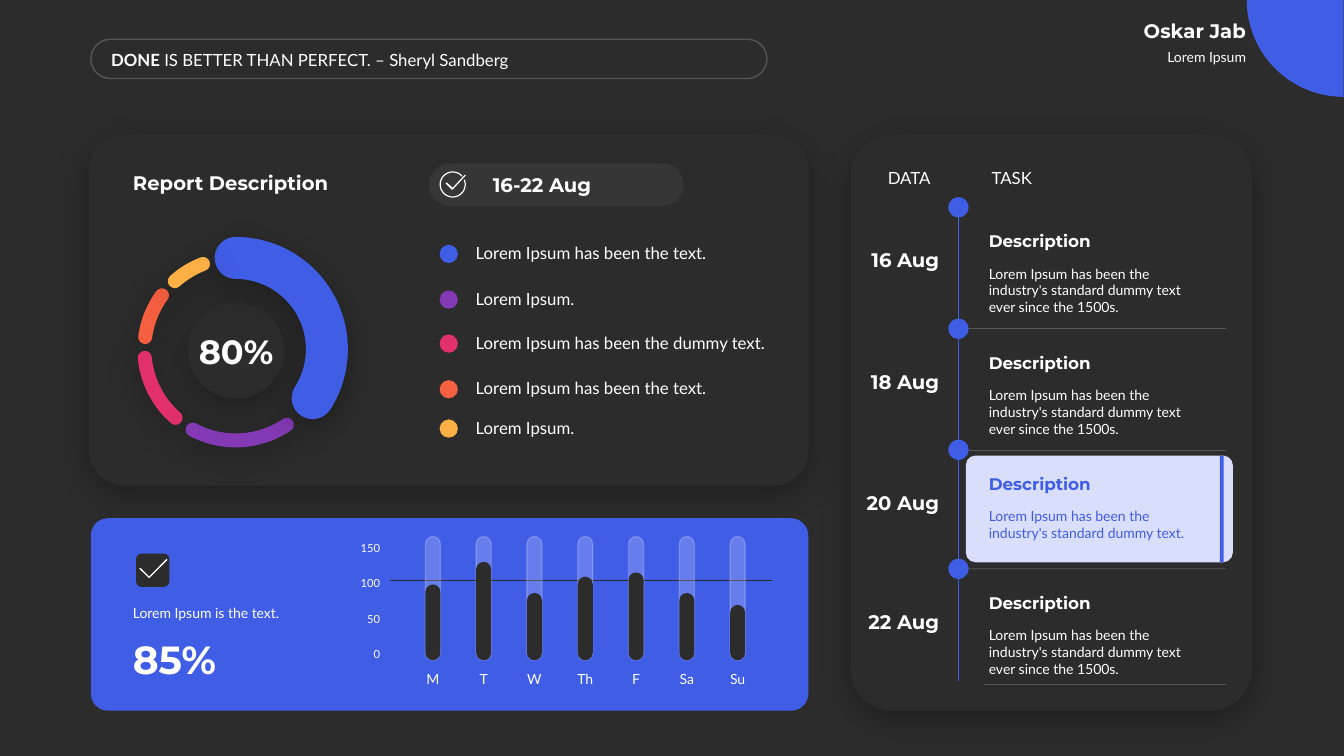
import math
from dataclasses import dataclass

import pptx
import pptx.dml.color
import pptx.enum.shapes
import pptx.enum.text
import pptx.oxml
import pptx.oxml.ns
import pptx.util

Cm = pptx.util.Cm
Pt = pptx.util.Pt
qn = pptx.oxml.ns.qn
SHAPE = pptx.enum.shapes.MSO_SHAPE
ALIGN = pptx.enum.text.PP_ALIGN
ANCHOR = pptx.enum.text.MSO_ANCHOR


class Theme:
    dark, white, blue, pale = "2C2C2C", "FFFFFF", "405DE6", "D9DFFA"
    purple, pink, orange, yellow = "833AB4", "E1306C", "F56040", "FCAF45"
    styles = {
        "heading": {"name": "Montserrat", "size": Pt(14), "bold": True},
        "subheading": {"name": "Montserrat", "size": Pt(12), "bold": True},
        "figure": {"name": "Montserrat", "size": Pt(24), "bold": True},
        "big figure": {"name": "Montserrat", "size": Pt(28), "bold": True},
        "body": {"name": "Lato", "size": Pt(12), "bold": False},
        "strong": {"name": "Lato", "size": Pt(12), "bold": True},
        "small": {"name": "Lato", "size": Pt(10), "bold": False},
        "tiny": {"name": "Lato", "size": Pt(8), "bold": False},
    }


@dataclass
class Box:
    left: float
    top: float
    width: float
    height: float

    def area(self, left, top, width, height):
        return Box(self.left + left, self.top + top, width, height)

    def lengths(self):
        return [Cm(value) for value in (self.left, self.top, self.width, self.height)]


def rgb(color):
    return pptx.dml.color.RGBColor.from_string(color)


def apply(target, formats):
    for name, value in formats.items():
        setattr(target, name, value)


def add_child(parent, tag, **attributes):
    child = parent.makeelement(qn(tag), attributes)
    parent.append(child)
    return child


def paint(shape, fill=None, line=None, weight=1, opacity=100, shadow=False):
    if fill:
        shape.fill.solid()
        shape.fill.fore_color.rgb = rgb(fill)
    else:
        shape.fill.background()
    if line:
        shape.line.color.rgb = rgb(line)
        shape.line.width = Pt(weight)
    else:
        shape.line.fill.background()
    fade(shape, opacity)
    shape.shadow.inherit = False
    if shadow:
        effects = shape.element.spPr.find(qn("a:effectLst"))
        outer = add_child(effects, "a:outerShdw", blurRad=str(Pt(23)), dist=str(Pt(6)),
                          dir="5400000", algn="t", rotWithShape="0")
        add_child(add_child(outer, "a:srgbClr", val="000000"), "a:alpha", val="30000")


def fade(shape, opacity):
    if opacity < 100:
        for color in shape.element.spPr.iter(qn("a:srgbClr")):
            add_child(color, "a:alpha", val=str(opacity * 1000))


def add_shape(page, kind, box, adjust=(), **look):
    shape = page.shapes.add_shape(kind, *box.lengths())
    for index, value in enumerate(adjust):
        shape.adjustments[index] = value
    paint(shape, **look)
    return shape


def add_arc(page, box, start, end, **look):
    return add_shape(page, SHAPE.ARC, box, (start * 0.6, end * 0.6), **look)


def add_line(page, box, color, opacity=100):
    left, top, width, height = box.lengths()
    line = page.shapes.add_connector(pptx.enum.shapes.MSO_CONNECTOR.STRAIGHT,
                                     left, top, left + width, top + height)
    line.line.color.rgb = rgb(color)
    line.line.width = Pt(0.5)
    fade(line, opacity)
    add_child(line.element.spPr, "a:effectLst")


def write(shape, spans, color=Theme.white, align=ALIGN.LEFT, anchor=ANCHOR.TOP, inset=0.25):
    frame = shape.text_frame
    apply(frame, {"word_wrap": True, "vertical_anchor": anchor,
                  "auto_size": pptx.enum.text.MSO_AUTO_SIZE.SHAPE_TO_FIT_TEXT,
                  "margin_left": Cm(inset), "margin_right": Cm(inset),
                  "margin_top": Cm(0.13), "margin_bottom": Cm(0.13)})
    para = frame.paragraphs[0]
    para.alignment = align
    for words, style in spans:
        span = para.add_run()
        span.text = words
        apply(span.font, Theme.styles[style])
        span.font.color.rgb = rgb(color)


def add_text(page, box, words, style, **layout):
    write(page.shapes.add_textbox(*box.lengths()), [(words, style)], **layout)


def add_outline(page, box, contours):
    contours = [[(Cm(box.left + x), Cm(box.top + y)) for x, y in points] for points in contours]
    builder = page.shapes.build_freeform(*contours[0][0])
    for index, points in enumerate(contours):
        if index:
            builder.move_to(*points[0])
        builder.add_line_segments(points[1:], close=True)
    paint(builder.convert_to_shape(), fill=Theme.white)


def add_profile(page, box):
    add_arc(page, box.area(5.66, -2.44, 4.88, 4.88), 90, 180, fill=Theme.blue)
    add_text(page, box.area(0, 1.09, 5.89, 0.69), "Lorem Ipsum", "small", align=ALIGN.RIGHT)
    add_text(page, box.area(0, 0.33, 5.89, 0.86), "Oskar Jab", "heading",
             align=ALIGN.RIGHT, anchor=ANCHOR.BOTTOM)


def add_quote(page, box):
    add_shape(page, SHAPE.ROUNDED_RECTANGLE, box, [0.5], line=Theme.white, opacity=20)
    quote = page.shapes.add_textbox(*box.area(0.41, 0.13, 14.33, 0.76).lengths())
    write(quote, [("DONE", "strong"), (" IS BETTER THAN PERFECT. – Sheryl Sandberg", "body")],
          anchor=ANCHOR.MIDDLE, inset=0.1)


def add_report(page, box):
    add_shape(page, SHAPE.ROUNDED_RECTANGLE, box, [0.103], fill=Theme.dark, shadow=True)
    title = page.shapes.title
    title.element.getparent().append(title.element)
    apply(title, dict(zip(("left", "top", "width", "height"),
                          box.area(0.86, 0.79, 8.94, 0.86).lengths())))
    write(title, [("Report Description", "heading")], anchor=ANCHOR.BOTTOM)

    add_shape(page, SHAPE.ROUNDED_RECTANGLE, box.area(8.56, 0.74, 6.43, 1.07), [0.5],
              fill=Theme.white, opacity=5)
    angles = [math.radians(degree) for degree in range(-22, 319, 4)]
    ring = [(0.33 + radius * math.cos(angle), 0.33 + radius * math.sin(angle))
            for radius, sweep in ((0.33, angles), (0.3, angles[::-1])) for angle in sweep]
    check = [(0.33, 0.41), (0.18, 0.28), (0.15, 0.3), (0.31, 0.46), (0.33, 0.46),
             (0.66, 0.1), (0.64, 0.08)]
    add_outline(page, box.area(8.84, 0.94, 0.66, 0.66), [check, ring])
    add_text(page, box.area(9.93, 0.84, 4.78, 0.86), "16-22 Aug", "heading", anchor=ANCHOR.MIDDLE)

    add_shape(page, SHAPE.OVAL, box.area(2.49, 4.22, 2.44, 2.44), fill=Theme.dark, shadow=True)
    add_text(page, box.area(2.34, 4.83, 2.74, 1.27), "80%", "figure",
             align=ALIGN.CENTER, anchor=ANCHOR.BOTTOM)
    for color, start, end, weight in (
            (Theme.orange, 187.68, 216.15, 10), (Theme.pink, 131.19, 174.5, 10),
            (Theme.purple, 55.91, 118.1, 10), (Theme.blue, 270, 32.43, 30),
            (Theme.yellow, 228.21, 249.04, 10)):
        arc = add_arc(page, box.area(1.4, 3.12, 4.6, 4.6), start, end,
                      line=color, weight=weight, shadow=True)
        arc.element.spPr.find(qn("a:ln")).set("cap", "rnd")

    for color, top, words in (
            (Theme.blue, 2.79, "Lorem Ipsum has been the text."),
            (Theme.purple, 3.94, "Lorem Ipsum."),
            (Theme.pink, 5.05, "Lorem Ipsum has been the dummy text."),
            (Theme.orange, 6.2, "Lorem Ipsum has been the text."),
            (Theme.yellow, 7.19, "Lorem Ipsum.")):
        add_shape(page, SHAPE.OVAL, box.area(8.84, top, 0.46, 0.46), fill=color)
        add_text(page, box.area(9.5, top - 0.18, 8.03, 0.76), words, "body", anchor=ANCHOR.MIDDLE)


def add_week(page, box):
    add_shape(page, SHAPE.ROUNDED_RECTANGLE, box, [0.089], fill=Theme.blue)
    add_shape(page, SHAPE.ROUNDED_RECTANGLE, box.area(1.14, 0.89, 0.84, 0.84), fill=Theme.dark)
    check = [(0.71, 0.03), (0.69, 0), (0.25, 0.45), (0.03, 0.23), (0, 0.25), (0.25, 0.49)]
    add_outline(page, box.area(1.22, 1.02, 0.71, 0.48), [check])
    add_text(page, box.area(0.81, 2.03, 4.78, 0.69), "Lorem Ipsum is the text.", "small",
             anchor=ANCHOR.BOTTOM)
    add_text(page, box.area(0.81, 2.82, 4.78, 1.45), "85%", "big figure")

    add_line(page, box.area(7.54, 1.57, 9.63, 0), Theme.dark)
    for step in range(4):
        add_text(page, box.area(6.3, 3.12 - 0.89 * step, 1.24, 0.61), str(50 * step), "tiny",
                 align=ALIGN.RIGHT)
    days = {"M": 99, "T": 131, "W": 87, "Th": 110, "F": 116, "Sa": 87, "Su": 70}
    for index, (day, value) in enumerate(days.items()):
        left = 8.43 + 1.28 * index
        height = 0.15 + 0.89 * value / 50
        add_shape(page, SHAPE.ROUNDED_RECTANGLE, box.area(left, 0.46, 0.38, 3.12), [0.5],
                  fill=Theme.white, line=Theme.white, opacity=20)
        add_shape(page, SHAPE.ROUNDED_RECTANGLE, box.area(left, 3.58 - height, 0.38, height),
                  [0.5], fill=Theme.dark)
        add_text(page, box.area(left - 0.31, 3.71, 1, 0.69), day, "small",
                 align=ALIGN.CENTER, inset=0)


def add_schedule(page, box):
    add_shape(page, SHAPE.ROUNDED_RECTANGLE, box, [0.103], fill=Theme.dark, shadow=True)
    add_shape(page, SHAPE.ROUNDED_RECTANGLE, box.area(2.9, 8.1, 6.73, 2.69), [0.091],
              fill=Theme.pale)
    add_text(page, box.area(0.18, 0.71, 2.08, 0.76), "DATA", "body",
             align=ALIGN.RIGHT, anchor=ANCHOR.MIDDLE)
    add_text(page, box.area(3.3, 0.71, 4.47, 0.76), "TASK", "body", anchor=ANCHOR.MIDDLE)

    short = "Lorem Ipsum has been the industry's standard dummy text"
    for date, top, ending, color in (
            ("16 Aug", 1.84, " ever since the 1500s.", Theme.white),
            ("18 Aug", 4.9, " ever since the 1500s.", Theme.white),
            ("20 Aug", 7.95, ".", Theme.blue),
            ("22 Aug", 10.95, " ever since the 1500s.", Theme.white)):
        row = box.area(0, top, box.width, 3)
        add_line(page, row.area(2.72, 0.13, 0, 2.69), Theme.blue)
        add_shape(page, SHAPE.OVAL, row.area(2.46, -0.25, 0.51, 0.51), fill=Theme.blue)
        add_text(page, row.area(0.2, 0.9, 2.13, 0.86), date, "heading",
                 align=ALIGN.RIGHT, anchor=ANCHOR.BOTTOM, inset=0.1)
        add_text(page, row.area(3.23, 1.33, 6.02, 1.55), short + ending, "small", color=color)
        add_text(page, row.area(3.23, 0.48, 6.02, 0.76), "Description", "subheading",
                 color=color, anchor=ANCHOR.BOTTOM)
    for left, top in ((2.97, 4.9), (2.97, 7.97), (2.97, 10.95), (3.35, 13.87)):
        add_line(page, box.area(left, top, 9.46 - left, 0), Theme.white, opacity=20)
    add_shape(page, SHAPE.RECTANGLE, box.area(9.3, 8.1, 0.1, 2.69), fill=Theme.blue)


def main():
    deck = pptx.Presentation()
    apply(deck, {"slide_width": Cm(33.87), "slide_height": Cm(19.05)})
    page = deck.slides.add_slide(deck.slide_layouts.get_by_name("Title Only"))
    page.background.fill.solid()
    page.background.fill.fore_color.rgb = rgb(Theme.dark)
    add_profile(page, Box(25.76, 0, 8.11, 2.44))
    add_quote(page, Box(2.29, 0.99, 17.04, 0.99))
    add_report(page, Box(2.24, 3.38, 18.14, 8.86))
    add_week(page, Box(2.29, 13.06, 18.08, 4.85))
    add_schedule(page, Box(21.44, 3.38, 10.11, 14.53))
    deck.save("out.pptx")


if __name__ == "__main__":
    main()
